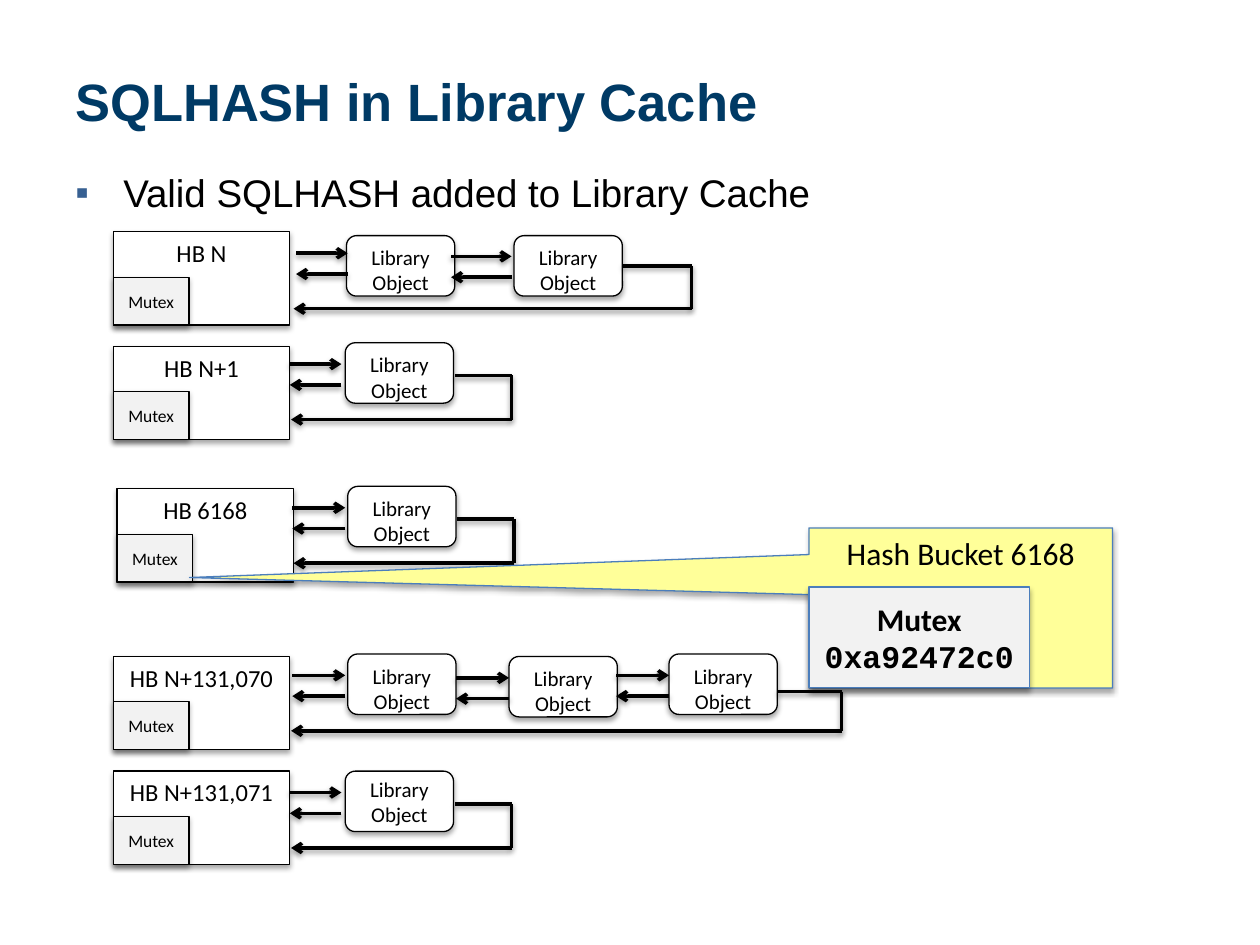
from pptx import Presentation, oxml
from pptx import util as u
from pptx.dml import color
from pptx.enum import shapes, text
from pptx.oxml import ns

WIDE, HIGH = u.Inches(10), u.Inches(7.5)
COLS, ROWS = 100, 75
HEX = {"black": "000000", "white": "FFFFFF", "grey": "F2F2F2", "navy": "003A65",
       "blue": "4B7EBC", "bullet": "376092", "yellow": "FFFF99"}
KIND = shapes.MSO_SHAPE
TOP, MID = text.MSO_ANCHOR.TOP, text.MSO_ANCHOR.MIDDLE
BACK = 1.65

# name, corner, objects, links (from, to, row), loop (out, turn, row, low row, end), object anchor
CHAINS = [
    ("HB N", (9, 18.4), [(27.5, 18.7), (40.8, 18.7)],
     [(23.5, 27.6, 20.1), (35.8, 40.6, 20.35)], (49.4, 54.9, 21.1, 24.5, 23.3), TOP),
    ("HB N+1", (9, 27.5), [(27.4, 27.2)],
     [(23, 27.1, 28.9)], (36.1, 40.6, 29.8, 33.3, 23.1), TOP),
    ("HB N+131,070", (9, 52.1), [(27.6, 51.9), (40.4, 52.1), (53.1, 51.9)],
     [(23.2, 27.4, 53.6), (36.2, 40.4, 53.8), (48.9, 53.1, 53.6)],
     (61.7, 66.8, 54.9, 58, 23.1), TOP),
    ("HB N+131,071", (9, 61.2), [(27.4, 61.2)],
     [(23, 27.1, 62.9)], (36.1, 40.6, 63.8, 67.3, 23.1), MID),
    ("HB 6168", (9.3, 38.8), [(27.6, 38.6)],
     [(23.2, 27.4, 40.3)], (36.3, 40.8, 41.2, 44.7, 23.3), TOP),
]


def across(col):
    """Turn grid columns into a length."""
    return int(WIDE * col / COLS)


def down(row):
    """Turn grid rows into a length."""
    return int(HIGH * row / ROWS)


def place(left, top, wide, high):
    """Turn a grid cell range into position and size."""
    return across(left), down(top), across(wide), down(high)


def tint(name):
    """Look up a colour."""
    return color.RGBColor.from_string(HEX[name])


def shade(item, alpha, dist):
    """Give a shape or line a soft shadow below it."""
    item._element.spPr.append(oxml.parse_xml(
        f'<a:effectLst {ns.nsdecls("a")}><a:outerShdw blurRad="{u.Pt(3.1)}" '
        f'dist="{u.Pt(dist)}" dir="5400000" rotWithShape="0">'
        f'<a:srgbClr val="{HEX["black"]}"><a:alpha val="{alpha * 1000}"/>'
        '</a:srgbClr></a:outerShdw></a:effectLst>'))


def write(para, words, size, font="Calibri", hue="black", bold=False):
    """Add a styled run to a paragraph."""
    run = para.add_run()
    run.text = words
    style = {"size": u.Pt(size), "name": font, "bold": bold}
    for key, value in style.items():
        setattr(run.font, key, value)
    run.font.color.rgb = tint(hue)


def label(parent, words, cell, size):
    """Add a left-aligned text box and return its paragraph."""
    frame = parent.add_textbox(*place(*cell)).text_frame
    for key, value in {"word_wrap": True, **words}.items():
        setattr(frame, key, value)
    return frame.paragraphs[0]


def block(parent, kind, cell, runs, fill="white", edge="black", anchor=TOP, adjust=()):
    """Add a shadowed shape with centred text."""
    shape = parent.add_shape(kind, *place(*cell))
    for spot, value in enumerate(adjust):
        shape.adjustments[spot] = value
    shape.fill.solid()
    shape.fill.fore_color.rgb = tint(fill)
    shape.line.color.rgb = tint(edge)
    shape.line.width = u.Pt(0.75)
    shade(shape, 35, 1.8)
    frame = shape.text_frame
    for key, value in {"word_wrap": True, "vertical_anchor": anchor}.items():
        setattr(frame, key, value)
    para = frame.paragraphs[0]
    para.alignment = text.PP_ALIGN.CENTER
    for run in runs:
        write(para, **run)


def stroke(parent, start, end, head=True):
    """Draw a straight line, with an arrowhead if wanted."""
    line = parent.add_connector(shapes.MSO_CONNECTOR.STRAIGHT, across(start[0]),
                                down(start[1]), across(end[0]), down(end[1]))
    line.line.color.rgb = tint("black")
    line.line.width = u.Pt(2)
    if head:
        line._element.spPr.find(ns.qn("a:ln")).append(
            oxml.parse_xml(f'<a:tailEnd {ns.nsdecls("a")} type="arrow"/>'))
    shade(line, 38, 1.6)


def chain(slide, name, corner, items, links, loop, anchor):
    """Draw one hash bucket with its linked library objects."""
    parts = slide.shapes.add_group_shape().shapes
    left, top = corner
    block(parts, KIND.RECTANGLE, (left, top, 14, 7.4), [{"words": name, "size": 14}])
    for spot in items:
        block(parts, KIND.ROUNDED_RECTANGLE, (*spot, 8.6, 4.8),
              [{"words": "Library Object", "size": 12}], anchor=anchor)
    for start, end, row in links:
        stroke(parts, (start, row), (end, row))
        stroke(parts, (end, row + BACK), (start, row + BACK))
    out, turn, row, low, end = loop
    stroke(parts, (out, row), (turn, row), False)
    stroke(parts, (turn, row), (turn, low), False)
    stroke(parts, (turn, low), (end, low))
    block(parts, KIND.RECTANGLE, (left, top + 3.6, 6, 3.8),
          [{"words": "Mutex", "size": 10}], fill="grey", anchor=MID)


def header(slide):
    """Add the title and the bullet line."""
    para = label(slide.shapes, {"vertical_anchor": MID}, (5, 3, 90.1, 9.9), 30)
    write(para, "SQLHASH in Library Cache", 30, "Arial", "navy", True)
    para = label(slide.shapes, {"vertical_anchor": TOP}, (5, 12.9, 90.1, 56.3), 22)
    props = para._p.get_or_add_pPr()
    for key, value in {"marL": u.Inches(0.38), "indent": -u.Inches(0.38)}.items():
        props.set(key, str(value))
    for tag in (f'buClr {ns.nsdecls("a")}><a:srgbClr val="{HEX["bullet"]}"/></a:buClr',
                f'buFont {ns.nsdecls("a")} typeface="Arial"/',
                f'buChar {ns.nsdecls("a")} char="▪"/'):
        props.append(oxml.parse_xml(f"<a:{tag}>"))
    write(para, "Valid SQLHASH added to Library Cache", 22, "Arial")


def zoom(slide):
    """Add the callout that enlarges one bucket's mutex."""
    block(slide.shapes, KIND.RECTANGULAR_CALLOUT, (64.2, 41.9, 24.1, 12.7),
          [{"words": "Hash Bucket 6168", "size": 18}], "yellow", "blue",
          adjust=(-2.54, -0.19))
    block(slide.shapes, KIND.RECTANGLE, (64.2, 46.6, 17.5, 8),
          [{"words": "Mutex ", "size": 18, "bold": True},
           {"words": "0xa92472c0", "size": 18, "font": "Courier New", "bold": True}],
          "grey", "blue", MID)


def main():
    """Build and save the slide."""
    deck = Presentation()
    deck.slide_width, deck.slide_height = WIDE, HIGH
    slide = deck.slides.add_slide(deck.slide_layouts[6])
    header(slide)
    for row in CHAINS:
        chain(slide, *row)
    zoom(slide)
    deck.save("out.pptx")


if __name__ == "__main__":
    main()
